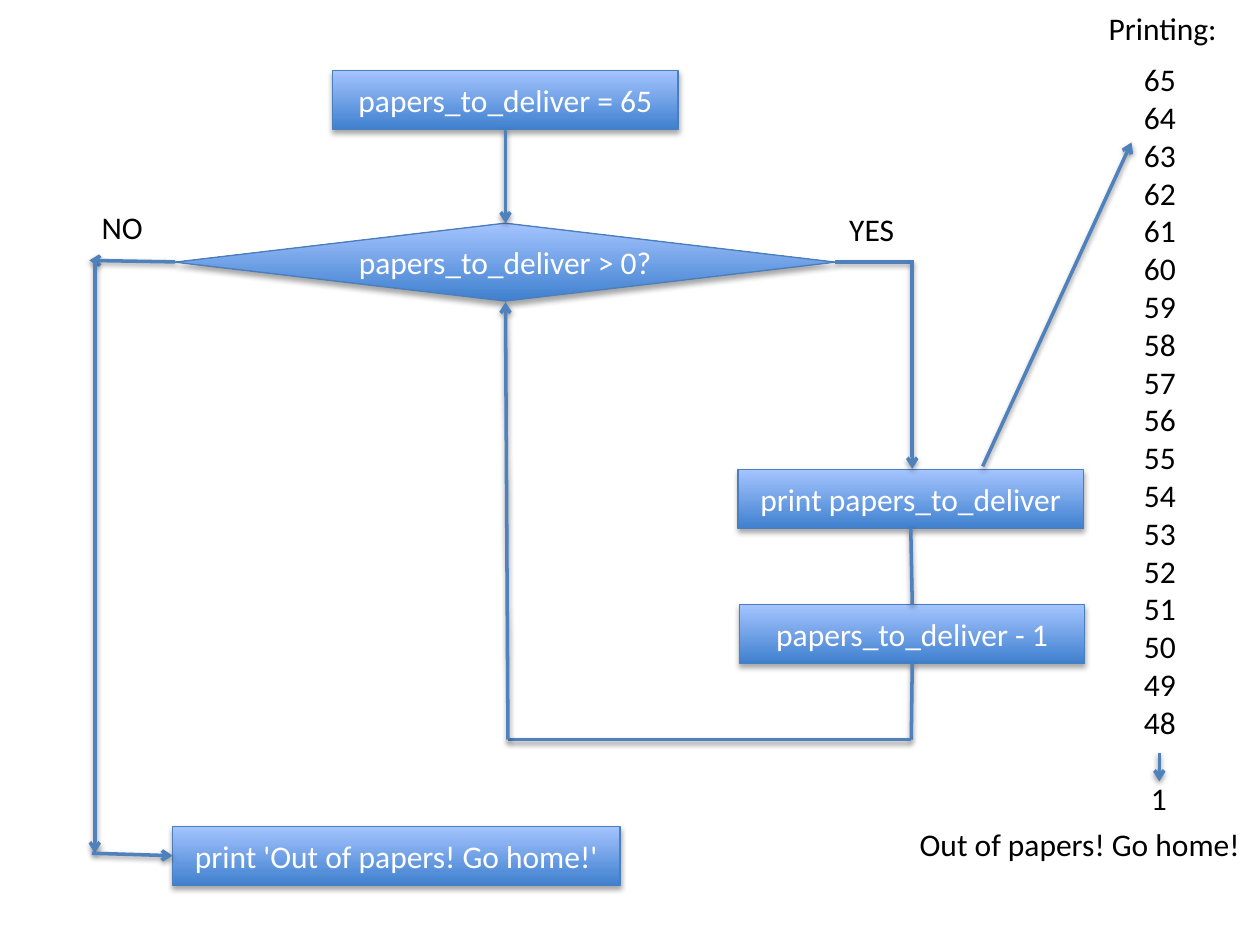
"""Build a flowchart slide of a countdown loop with its printed output."""
from lxml import etree
from pptx import Presentation
from pptx.dml.color import RGBColor
from pptx.enum.shapes import MSO_CONNECTOR, MSO_SHAPE
from pptx.enum.text import MSO_ANCHOR, PP_ALIGN
from pptx.oxml import parse_xml
from pptx.oxml.ns import nsdecls, qn
from pptx.util import Cm, Pt


def style(p, color):
    """Format every run of a paragraph."""
    for r in p.runs:
        r.font.size = Pt(18)
        r.font.name = "Calibri"
        r.font.color.rgb = RGBColor.from_string(color)


def add_shadow(shape, distance, opacity):
    """Add a soft shadow that falls straight down."""
    shape._element.spPr.append(parse_xml(
        f'<a:effectLst {nsdecls("a")}><a:outerShdw blurRad="{Pt(3.1)}" dist="{Pt(distance)}" '
        f'dir="5400000" rotWithShape="0"><a:srgbClr val="000000">'
        f'<a:alpha val="{opacity * 1000}"/></a:srgbClr></a:outerShdw></a:effectLst>'))


prs = Presentation()
prs.slide_width, prs.slide_height = Cm(25.4), Cm(19.05)
s = prs.slides.add_slide(prs.slide_layouts[6])

RECT, DIAMOND = MSO_SHAPE.RECTANGLE, MSO_SHAPE.DIAMOND
steps = [
    (RECT, 6.71, 1.42, 6.96, 1.19, "papers_to_deliver = 65"),
    (DIAMOND, 3.53, 4.5, 13.31, 1.57, "papers_to_deliver > 0?"),
    (RECT, 14.88, 9.47, 6.96, 1.19, "print papers_to_deliver"),
    (RECT, 14.91, 12.19, 6.96, 1.19, "papers_to_deliver - 1"),
    (RECT, 3.48, 16.66, 9.02, 1.19, "print 'Out of papers! Go home!'"),
]
for kind, x, y, w, h, text in steps:
    sp = s.shapes.add_shape(kind, Cm(x), Cm(y), Cm(w), Cm(h))
    sp.fill.gradient()
    sp.fill.gradient_angle = 90
    for stop, position, color in zip(sp.fill.gradient_stops, (0, 1), ("3F80CE", "A4C4FF")):
        stop.position = position
        stop.color.rgb = RGBColor.from_string(color)
    sp.line.color.rgb = RGBColor.from_string("4B7EBC")
    sp.line.width = Pt(0.75)
    add_shadow(sp, 1.8, 35)
    tf = sp.text_frame
    tf.text = text
    tf.word_wrap = True
    tf.vertical_anchor = MSO_ANCHOR.MIDDLE
    tf.paragraphs[0].alignment = PP_ALIGN.CENTER
    style(tf.paragraphs[0], "FFFFFF")

links = [
    (3.53, 5.28, 1.8, 5.25, True),
    (1.91, 5.28, 1.91, 17.2, True),
    (1.85, 17.2, 3.48, 17.25, True),
    (16.84, 5.28, 18.39, 5.28, False),
    (18.39, 5.25, 18.39, 9.45, True),
    (18.36, 10.65, 18.39, 12.19, False),
    (18.39, 13.37, 18.37, 14.91, False),
    (18.37, 14.91, 10.24, 14.91, False),
    (10.24, 14.91, 10.19, 6.09, True),
    (10.19, 2.6, 10.19, 4.5, True),
    (19.81, 9.4, 22.81, 2.87, True),
    (23.37, 15.17, 23.37, 15.75, True),
]
for x1, y1, x2, y2, arrow in links:
    link = s.shapes.add_connector(MSO_CONNECTOR.STRAIGHT, Cm(x1), Cm(y1), Cm(x2), Cm(y2))
    link.line.color.rgb = RGBColor.from_string("4F81BD")
    link.line.width = Pt(2)
    if arrow:
        etree.SubElement(link.line._get_or_add_ln(), qn("a:tailEnd"), type="arrow")
    add_shadow(link, 1.6, 38)

countdown = "\n".join(str(n) for n in range(65, 47, -1)) + "\n1"
labels = [
    (1.8, 4.06, 1.73, 1.02, "NO"),
    (16.87, 4.1, 1.73, 1.02, "YES"),
    (22.81, 1.09, 1.68, 15.65, countdown),
    (18.29, 16.51, 7.62, 1.02, "Out of papers! Go home!"),
    (22.1, 0.05, 3.05, 1.02, "Printing:"),
]
for x, y, w, h, text in labels:
    tf = s.shapes.add_textbox(Cm(x), Cm(y), Cm(w), Cm(h)).text_frame
    tf.word_wrap = True
    tf.text = text
    for p in tf.paragraphs:
        style(p, "000000")
    if text == countdown:
        p.space_before = Pt(22)
        p._p.get_or_add_pPr().set("marL", str(Cm(0.14)))

prs.save("out.pptx")
